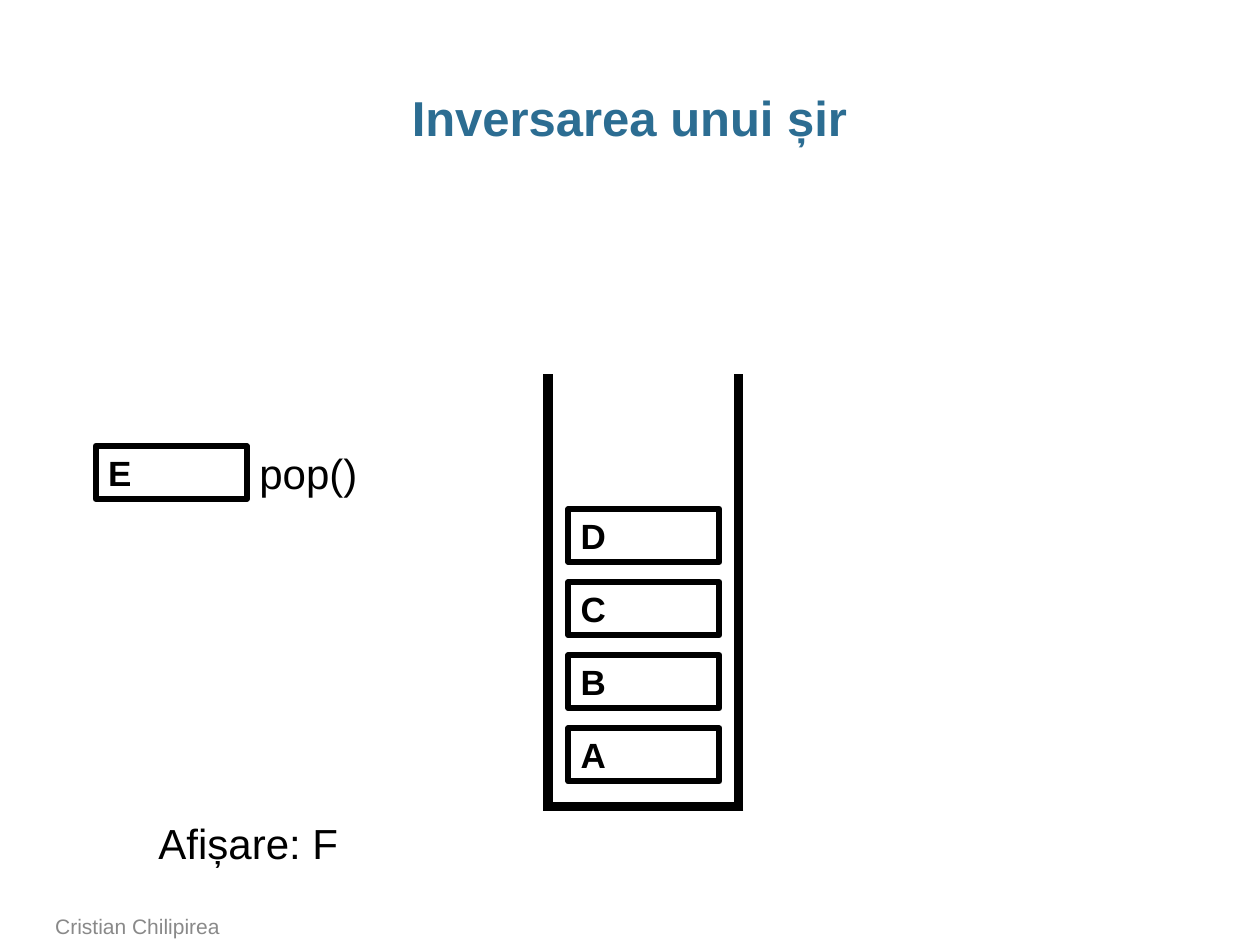
from lxml.etree import SubElement
from pptx import Presentation
from pptx.dml.color import RGBColor
from pptx.enum.shapes import MSO_CONNECTOR, MSO_SHAPE
from pptx.enum.text import MSO_ANCHOR, MSO_AUTO_SIZE, PP_ALIGN
from pptx.oxml.ns import qn
from pptx.util import Emu, Pt

PX = 9144  # EMU per px, 100 px to the inch
BLACK = RGBColor(0x00, 0x00, 0x00)
TITLE_BLUE = RGBColor(0x2C, 0x6D, 0x92)
FOOTER_GRAY = RGBColor(0x89, 0x89, 0x89)
CELL_WIDTH, CELL_HEIGHT, CELL_STEP = 120, 42, 58


def px(*lengths):
    return [Emu(length * PX) for length in lengths]


def write(shape, text, size, color=BLACK, bold=False, align=PP_ALIGN.LEFT):
    shape.text_frame.text = text
    paragraph = shape.text_frame.paragraphs[0]
    paragraph.alignment = align
    font = paragraph.runs[0].font
    font.name, font.size, font.bold = "Arial", Pt(size), bold
    font.color.rgb = color
    return paragraph


def add_title(slide, left, top, width, height):
    title = slide.shapes.title
    title.left, title.top, title.width, title.height = px(left, top, width, height)
    frame = title.text_frame
    frame.auto_size = MSO_AUTO_SIZE.NONE
    frame.vertical_anchor = MSO_ANCHOR.TOP
    frame.margin_left = frame.margin_right = 0
    paragraph = write(title, "Inversarea unui șir", 28, TITLE_BLUE, True, PP_ALIGN.CENTER)
    paragraph.line_spacing = 0.95


def add_footer(slide, left, top, width, height):
    footer = slide.shapes.add_textbox(*px(left, top, width, height))
    footer.text_frame.word_wrap = True
    footer.text_frame.vertical_anchor = MSO_ANCHOR.BOTTOM
    write(footer, "Cristian Chilipirea", 12, FOOTER_GRAY)


def add_label(slide, text, left, top, width, height):
    label = slide.shapes.add_textbox(*px(left, top, width, height))
    label.text_frame.word_wrap = False
    label.text_frame.auto_size = MSO_AUTO_SIZE.SHAPE_TO_FIT_TEXT
    write(label, text, 24)


def add_wall(slide, *ends):
    wall = slide.shapes.add_connector(MSO_CONNECTOR.STRAIGHT, *px(*ends))
    wall.line.color.rgb = BLACK
    wall.line.width = Pt(5.5)
    SubElement(wall._element.spPr, qn("a:effectLst"))


def add_cell(slide, letter, left, top):
    cell = slide.shapes.add_shape(
        MSO_SHAPE.RECTANGLE, *px(left, top, CELL_WIDTH, CELL_HEIGHT))
    cell.shadow.inherit = False
    cell.fill.background()
    cell.line.color.rgb = BLACK
    cell.line.width = Pt(3.5)
    cell.text_frame.word_wrap = False
    cell.text_frame.vertical_anchor = MSO_ANCHOR.MIDDLE
    write(cell, letter, 20, bold=True)


def add_stack(slide, letters, left, top, width, height):
    right, bottom = left + width, top + height
    # Open container: left wall, floor, right wall
    add_wall(slide, left, top, left, bottom)
    add_wall(slide, right + 4, bottom, left - 4, bottom)
    add_wall(slide, right, top, right, bottom)
    # Elements, from the bottom up
    for level, letter in enumerate(letters):
        add_cell(slide, letter, left + 16, bottom - 62 - level * CELL_STEP)


def add_popped(slide, letter, left, top):
    add_label(slide, "pop()", left + CELL_WIDTH, top - 4, 99, 50)
    add_cell(slide, letter, left, top)


def main():
    presentation = Presentation()
    presentation.slide_width, presentation.slide_height = px(1000, 750)
    slide = presentation.slides.add_slide(presentation.slide_layouts[5])
    add_title(slide, 34, 68, 931, 50)
    add_footer(slide, 34, 722, 737, 28)
    add_stack(slide, "ABCD", 435, 297, 151, 343)
    add_popped(slide, "E", 76, 354)
    add_label(slide, "Afișare: F", 116, 644, 164, 50)
    presentation.save("out.pptx")


if __name__ == "__main__":
    main()
